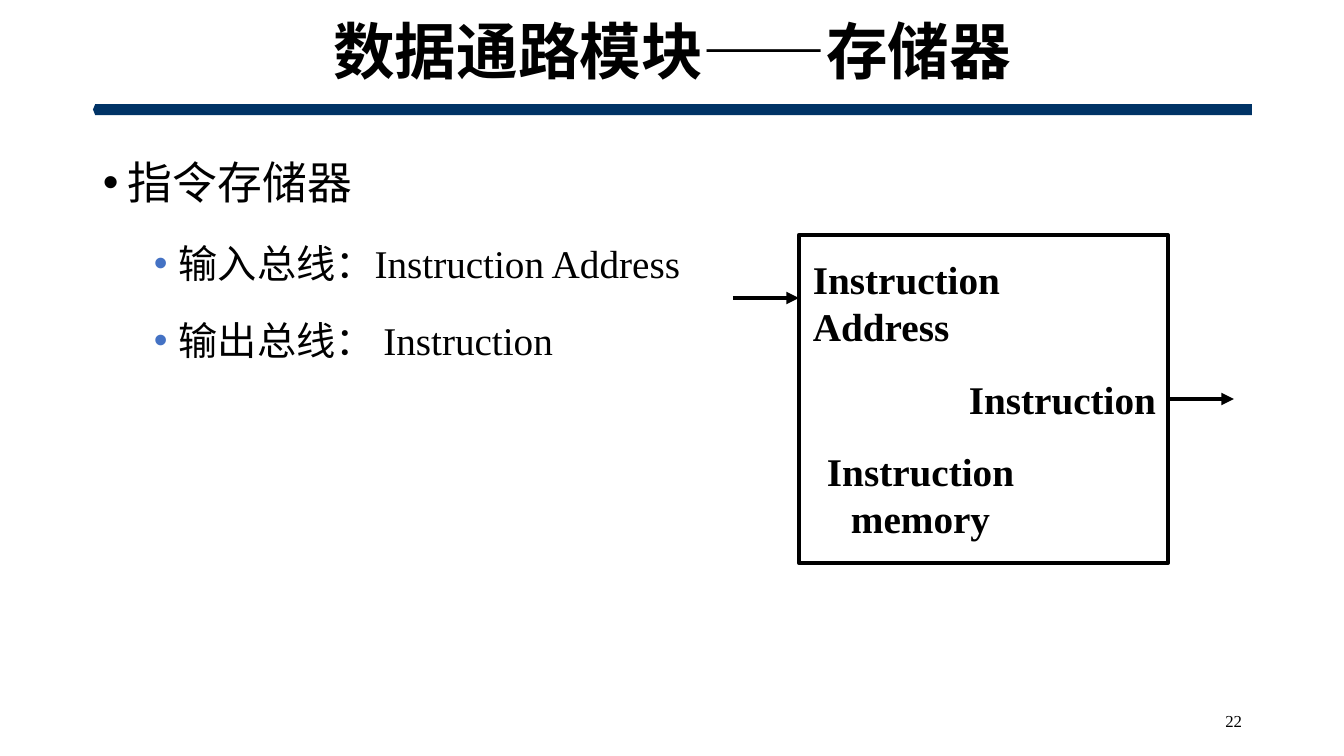
from dataclasses import dataclass

from lxml.etree import SubElement
from pptx import Presentation
from pptx.dml.color import RGBColor
from pptx.enum.shapes import MSO_CONNECTOR, MSO_SHAPE
from pptx.enum.text import MSO_ANCHOR as Anchor, PP_ALIGN as Align
from pptx.oxml.ns import qn
from pptx.util import Pt

EMU_PER_PX = 914400 / 100.8


@dataclass(frozen=True)
class Theme:
    font: str = "Times New Roman"
    ink: str = "000000"
    bar: str = "003366"
    accent: str = "4472C4"
    title: int = 44
    heading: int = 32
    text: int = 28
    number: int = 12
    line: int = 3


theme = Theme()


def px(*lengths):
    """Turn pixel lengths into EMU."""
    return [round(length * EMU_PER_PX) for length in lengths]


def fill_text(shape, lines, size, align=Align.LEFT, anchor=Anchor.TOP, bold=False):
    frame = shape.text_frame
    frame.word_wrap = True
    frame.vertical_anchor = anchor
    frame.text = "\n".join(lines)
    for paragraph in frame.paragraphs:
        paragraph.alignment = align
        font = paragraph.font
        font.name, font.size, font.bold = theme.font, Pt(size), bold
        font.color.rgb = RGBColor.from_string(theme.ink)


presentation = Presentation()
presentation.slide_width, presentation.slide_height = px(1344, 756)
slide = presentation.slides.add_slide(presentation.slide_layouts[5])
shapes = slide.shapes

# Title, bar and page number
title = shapes.title
title.left, title.top, title.width, title.height = px(93, 13, 1159, 83)
fill_text(title, ["数据通路模块——存储器"], theme.title, Align.CENTER, Anchor.MIDDLE, True)
title.text_frame.paragraphs[0].line_spacing = 0.9

bar = shapes.add_shape(MSO_SHAPE.PENTAGON, *px(93, 104, 1159, 11))
bar.rotation = 180
bar.adjustments[0] = 0.2
bar.shadow.inherit = False
bar.fill.solid()
bar.fill.fore_color.rgb = RGBColor.from_string(theme.bar)
bar.line.fill.background()

page_number = shapes.add_textbox(*px(950, 701, 302, 40))
fill_text(page_number, ["22"], theme.number, Align.RIGHT, Anchor.MIDDLE)

# Bulleted list: text, level, size, bullet colour, left indent, space before
bullets = [
    ("指令存储器", 0, theme.heading, theme.ink, 25, 0),
    ("输入总线：Instruction Address", 1, theme.text, theme.accent, 76, 5),
    ("输出总线： Instruction", 1, theme.text, theme.accent, 76, 5),
]
body = shapes.add_textbox(*px(93, 123, 679, 557))
body.text_frame.word_wrap = True
body.text_frame.text = "\n".join(bullet[0] for bullet in bullets)
for paragraph, (_, level, size, color, indent, before) in zip(body.text_frame.paragraphs, bullets):
    paragraph.level = level
    properties = paragraph._p.get_or_add_pPr()
    left, hanging = px(indent, 25)
    properties.set("marL", str(left))
    properties.set("indent", str(-hanging))
    SubElement(SubElement(properties, qn("a:buClr")), qn("a:srgbClr"), val=color)
    SubElement(properties, qn("a:buFont"), typeface="Arial")
    SubElement(properties, qn("a:buChar"), char="•")
    paragraph.line_spacing = 1.5
    paragraph.space_before = Pt(before)
    paragraph.font.name, paragraph.font.size = theme.font, Pt(size)
    paragraph.font.color.rgb = RGBColor.from_string(theme.ink)

# Instruction memory block
memory = shapes.add_shape(MSO_SHAPE.RECTANGLE, *px(799, 235, 369, 328))
memory.shadow.inherit = False
memory.fill.background()
memory.line.color.rgb = RGBColor.from_string(theme.ink)
memory.line.width = Pt(theme.line)

labels = [
    (["Instruction", "Address"], (803, 250, 268, 105), Align.LEFT),
    (["Instruction"], (959, 370, 209, 57), Align.LEFT),
    (["Instruction", "memory"], (815, 442, 211, 105), Align.CENTER),
]
for lines, box, align in labels:
    fill_text(shapes.add_textbox(*px(*box)), lines, theme.text, align, bold=True)

address_arrow, instruction_arrow = [
    shapes.add_connector(MSO_CONNECTOR.STRAIGHT, *px(*ends))
    for ends in [(733, 298, 799, 298), (1168, 399, 1234, 399)]
]
instruction_arrow.begin_connect(memory, 3)
for arrow in (address_arrow, instruction_arrow):
    arrow.line.color.rgb = RGBColor.from_string(theme.ink)
    arrow.line.width = Pt(theme.line)
    SubElement(arrow.line._get_or_add_ln(), qn("a:tailEnd"), type="triangle")
    SubElement(arrow._element.spPr, qn("a:effectLst"))

presentation.save("out.pptx")
